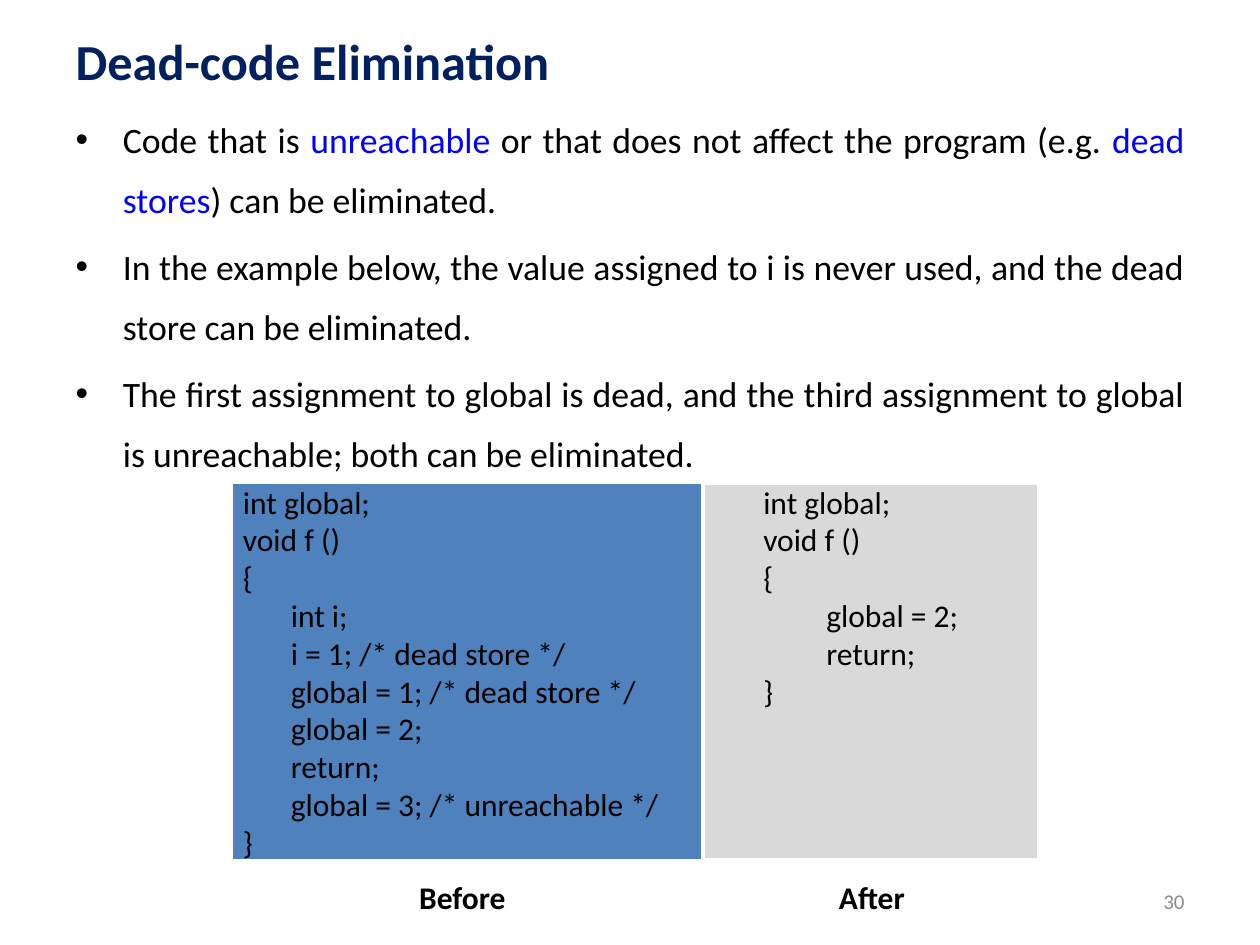
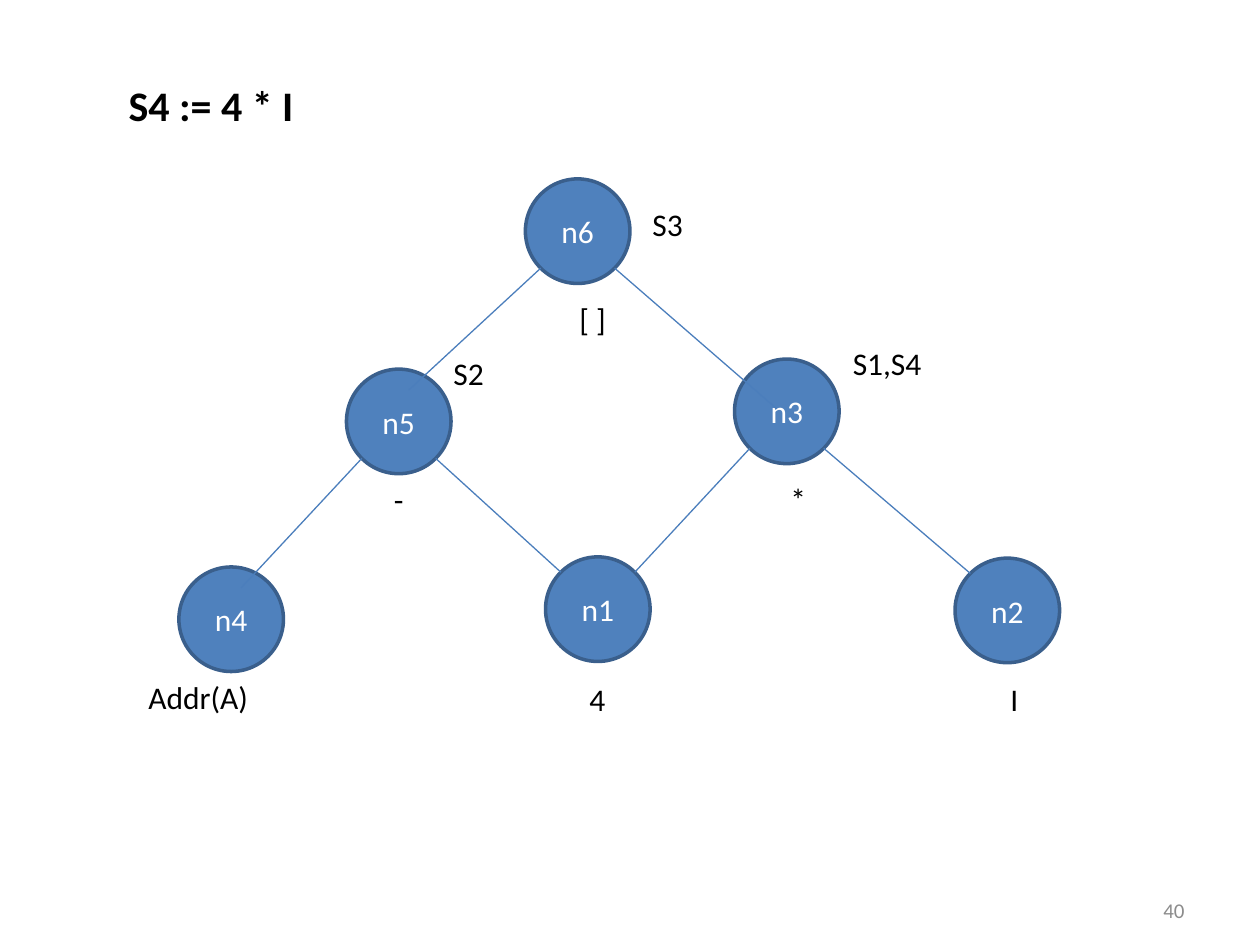
from lxml import etree
from pptx import Presentation
from pptx.dml.color import RGBColor
from pptx.enum import shapes, text
from pptx.oxml import ns
from pptx.util import Inches, Pt

COLORS = {
    "navy": "002060", "ink": "000000", "term": "0000FF", "blue": "4F81BD",
    "grey": "D9D9D9", "white": "FFFFFF", "rim": "3A5F8C", "edge": "4B7EBC",
    "number": "8C8C8C",
}
FONT = "Calibri"
LEFT, CENTER, RIGHT, JUSTIFY = (
    text.PP_ALIGN.LEFT, text.PP_ALIGN.CENTER, text.PP_ALIGN.RIGHT, text.PP_ALIGN.JUSTIFY)
TOP, MIDDLE = text.MSO_ANCHOR.TOP, text.MSO_ANCHOR.MIDDLE

DEAD_CODE = {
    "title": "Dead-code Elimination",
    "points": [
        [("Code that is ", "ink"), ("unreachable", "term"),
         (" or that does not affect the program (e.g. ", "ink"),
         ("dead stores", "term"), (") can be eliminated.", "ink")],
        [("In the example below, the value assigned to i is never used, "
          "and the dead store can be eliminated.", "ink")],
        [("The first assignment to global is dead, and the third assignment "
          "to global is unreachable; both can be eliminated.", "ink")],
    ],
    "listings": [
        {"caption": "Before", "caption_left": 2.67, "width": 3.75,
         "fill": "blue", "border": 2.25,
         "code": ["int global;", "void f ()", "{", "\tint i;",
                  "\ti = 1; /* dead store */",
                  "\tglobal = 1; /* dead store */ global = 2;",
                  "\treturn;", "\tglobal = 3; /* unreachable */", "}"]},
        {"caption": "After", "caption_left": 5.92, "width": 2.67,
         "fill": "grey", "border": 2.5,
         "code": ["\tint global;", "\tvoid f ()", "\t{",
                  "\t\tglobal = 2;", "\t\treturn;", "\t}"]},
    ],
    "number": "30",
}

DAG = {
    "title": "S4 := 4 * I",
    "nodes": {
        "n6": (4.17, 1.42), "n5": (2.75, 2.93), "n3": (5.83, 2.85),
        "n4": (1.42, 4.5), "n1": (4.33, 4.42), "n2": (7.58, 4.43),
    },
    "edges": [
        ("n6", "n5", (0.08, -0.25)), ("n6", "n3", (-0.08, -0.02)),
        ("n5", "n4", (0.08, -0.25)), ("n5", "n1", None),
        ("n3", "n1", None), ("n3", "n2", None),
    ],
    "labels": [
        ("S3", 5.08, 1.58, 0.58, LEFT), ("[ ]", 4.5, 2.33, 0.58, LEFT),
        ("S2", 3.5, 2.76, 0.58, LEFT), ("-", 2.83, 3.76, 0.67, CENTER),
        ("S1,S4", 6.67, 2.68, 1, LEFT), ("*", 6, 3.76, 0.67, CENTER),
        ("Addr(A)", 1.08, 5.33, 1.17, LEFT),
        ("4", 4.58, 5.35, 0.58, LEFT), ("I", 7.92, 5.35, 0.58, LEFT),
    ],
    "number": "40",
}

LISTING_LEFT, LISTING_TOP, LISTING_HEIGHT = 1.83, 3.83, 3
CODE_INDENT = 0.38
CAPTION_TOP = 6.92
LABEL_HEIGHT = 0.4
NODE_SIZE = 0.83
RADIUS = NODE_SIZE / 2
DIAGONAL = RADIUS * 0.5 ** 0.5


def rgb(name):
    return RGBColor.from_string(COLORS[name])


def apply(target, values):
    for name, value in values.items():
        setattr(target, name, value)


def place(part, left, top, width, height):
    box = dict(left=left, top=top, width=width, height=height)
    apply(part, {name: Inches(value) for name, value in box.items()})


def write(frame, paragraphs, size, color="ink", bold=False, align=LEFT, anchor=TOP, **layout):
    apply(frame, {"word_wrap": True, "auto_size": text.MSO_AUTO_SIZE.NONE,
                  "vertical_anchor": anchor})
    for index, content in enumerate(paragraphs):
        paragraph = frame.add_paragraph() if index else frame.paragraphs[0]
        apply(paragraph, {"alignment": align, **layout})
        runs = [(content, color)] if isinstance(content, str) else content
        for words, run_color in runs:
            run = paragraph.add_run()
            run.text = words
            apply(run.font, {"name": FONT, "size": Pt(size), "bold": bold})
            run.font.color.rgb = rgb(run_color)


def add_label(slide, words, box, size=18, **style):
    label = slide.shapes.add_textbox(*map(Inches, box))
    write(label.text_frame, [words], size, **style)


def add_number(slide, number, top):
    add_label(slide, number, (7.17, top, 2.33, LABEL_HEIGHT), 12,
              color="number", align=RIGHT, anchor=MIDDLE)


def set_title(slide, words, box, size, **style):
    place(slide.shapes.title, *box)
    write(slide.shapes.title.text_frame, [words], size, bold=True, **style)


def add_panel(slide, kind, box, fill, line, weight):
    panel = slide.shapes.add_shape(kind, *map(Inches, box))
    panel.shadow.inherit = False
    panel.fill.solid()
    panel.fill.fore_color.rgb = rgb(fill)
    panel.line.color.rgb = rgb(line)
    panel.line.width = Pt(weight)
    return panel


def add_edge(slide, start, end):
    edge = slide.shapes.add_connector(
        shapes.MSO_CONNECTOR.STRAIGHT, *map(Inches, (*start, *end)))
    edge.line.color.rgb = rgb("edge")
    edge.line.width = Pt(0.75)
    etree.SubElement(edge._element.spPr, ns.qn("a:effectLst"))


def build_dead_code(deck):
    slide = deck.slides.add_slide(deck.slide_layouts[1])
    set_title(slide, DEAD_CODE["title"], (0.5, 0.17, 5.92, 0.62), 28.8,
              color="navy", anchor=MIDDLE)
    points = slide.placeholders[1]
    place(points, 0.5, 0.75, 9, 3.08)
    write(points.text_frame, DEAD_CODE["points"], 20.4, align=JUSTIFY, line_spacing=1.4)

    left = LISTING_LEFT
    for listing in DEAD_CODE["listings"]:
        panel = add_panel(slide, shapes.MSO_SHAPE.RECTANGLE,
                          (left, LISTING_TOP, listing["width"], LISTING_HEIGHT),
                          listing["fill"], "white", listing["border"])
        frame = panel.text_frame
        frame.margin_top = 0
        write(frame, listing["code"], 18)
        for line in frame.paragraphs:
            indent = Inches(CODE_INDENT)
            properties = line._p.get_or_add_pPr()
            properties.set("marL", str(indent))
            properties.set("indent", str(-indent))
        add_label(slide, listing["caption"],
                  (listing["caption_left"], CAPTION_TOP, 2, LABEL_HEIGHT),
                  bold=True, align=CENTER)
        left += listing["width"]
    add_number(slide, DEAD_CODE["number"], 6.95)


def build_dag(deck):
    slide = deck.slides.add_slide(deck.slide_layouts[5])
    set_title(slide, DAG["title"], (0.92, 0.58, 2.5, 0.5), 24)
    centers = {}
    for node, (left, top) in DAG["nodes"].items():
        circle = add_panel(slide, shapes.MSO_SHAPE.OVAL,
                           (left, top, NODE_SIZE, NODE_SIZE), "blue", "rim", 2)
        write(circle.text_frame, [node], 18, color="white", align=CENTER, anchor=MIDDLE)
        centers[node] = left + RADIUS, top + RADIUS
    for parent, child, offset in DAG["edges"]:
        (x1, y1), (x2, y2) = centers[parent], centers[child]
        side = DIAGONAL if x2 > x1 else -DIAGONAL
        dx, dy = offset or (-side, -DIAGONAL)
        add_edge(slide, (x1 + side, y1 + DIAGONAL), (x2 + dx, y2 + dy))
    for words, left, top, width, align in DAG["labels"]:
        add_label(slide, words, (left, top, width, LABEL_HEIGHT), align=align)
    add_number(slide, DAG["number"], 7.02)


def main():
    deck = Presentation()
    deck.slide_width, deck.slide_height = Inches(10), Inches(7.5)
    build_dead_code(deck)
    build_dag(deck)
    deck.save("out.pptx")


if __name__ == "__main__":
    main()
